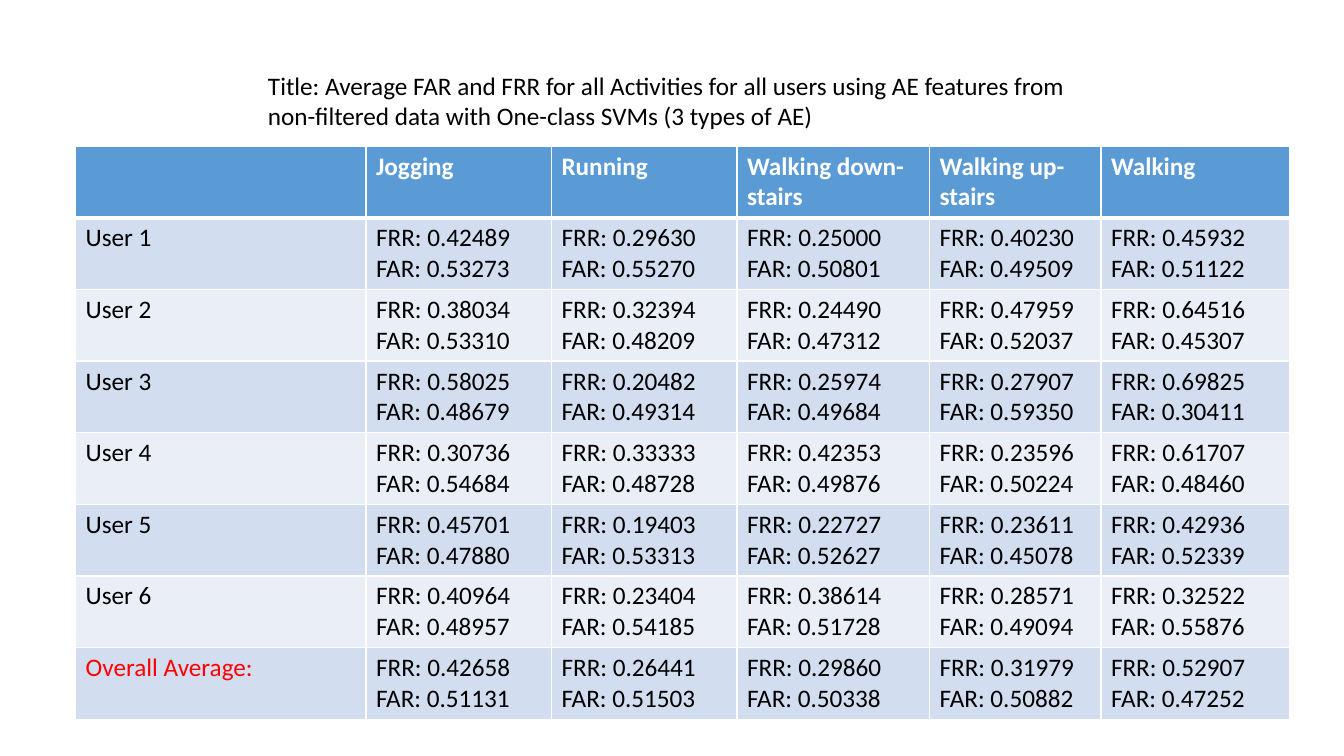
import dataclasses

import pptx
import pptx.dml.color
import pptx.oxml
import pptx.oxml.ns
import pptx.table
import pptx.text.text
import pptx.util

Inches = pptx.util.Inches
Color = pptx.dml.color.RGBColor.from_string


@dataclasses.dataclass(frozen=True)
class Theme:
    font: str = "Calibri"
    size: int = 18
    ink: str = "000000"
    paper: str = "FFFFFF"
    alert: str = "FF0000"
    header: str = "5B9BD5"
    bands: tuple[str, str] = ("D2DEEF", "EAEFF7")
    thin_rule: int = 1
    header_rule: int = 3


@dataclasses.dataclass(frozen=True)
class ResultRow:
    label: str
    frr: tuple[float, ...]
    far: tuple[float, ...]
    label_color: str


THEME = Theme()
TITLE = ("Title: Average FAR and FRR for all Activities for all users using AE "
         "features from non-filtered data with One-class SVMs (3 types of AE)")
HEADINGS = ("", "Jogging", "Running", "Walking down-stairs", "Walking up-stairs", "Walking")
COLUMN_WIDTHS = (2.88, 1.84, 1.84, 1.91, 1.7, 1.87)
ROW_HEIGHT = 0.7
RESULTS = (
    ResultRow("User 1", (0.42489, 0.29630, 0.25000, 0.40230, 0.45932),
              (0.53273, 0.55270, 0.50801, 0.49509, 0.51122), THEME.ink),
    ResultRow("User 2", (0.38034, 0.32394, 0.24490, 0.47959, 0.64516),
              (0.53310, 0.48209, 0.47312, 0.52037, 0.45307), THEME.ink),
    ResultRow("User 3", (0.58025, 0.20482, 0.25974, 0.27907, 0.69825),
              (0.48679, 0.49314, 0.49684, 0.59350, 0.30411), THEME.ink),
    ResultRow("User 4", (0.30736, 0.33333, 0.42353, 0.23596, 0.61707),
              (0.54684, 0.48728, 0.49876, 0.50224, 0.48460), THEME.ink),
    ResultRow("User 5", (0.45701, 0.19403, 0.22727, 0.23611, 0.42936),
              (0.47880, 0.53313, 0.52627, 0.45078, 0.52339), THEME.ink),
    ResultRow("User 6", (0.40964, 0.23404, 0.38614, 0.28571, 0.32522),
              (0.48957, 0.54185, 0.51728, 0.49094, 0.55876), THEME.ink),
    ResultRow("Overall Average:", (0.42658, 0.26441, 0.29860, 0.31979, 0.52907),
              (0.51131, 0.51503, 0.50338, 0.50882, 0.47252), THEME.alert),
)


def write_text(frame: pptx.text.text.TextFrame, text: str, color: str, bold: bool = False) -> None:
    frame.text = text
    for para in frame.paragraphs:
        para.font.name = THEME.font
        para.font.size = pptx.util.Pt(THEME.size)
        para.font.bold = bold
        para.font.color.rgb = Color(color)


def draw_borders(cell: pptx.table._Cell, top: int, bottom: int) -> None:
    properties = cell._tc.get_or_add_tcPr()
    sides = {"L": THEME.thin_rule, "R": THEME.thin_rule, "T": top, "B": bottom}
    for position, (side, points) in enumerate(sides.items()):
        properties.insert(position, pptx.oxml.parse_xml(
            f'<a:ln{side} {pptx.oxml.ns.nsdecls("a")} w="{pptx.util.Pt(points)}">'
            f'<a:solidFill><a:srgbClr val="{THEME.paper}"/></a:solidFill></a:ln{side}>'))


def fill_cell(cell: pptx.table._Cell, text: str, fill: str, color: str, row: int) -> None:
    is_header = row == 0
    write_text(cell.text_frame, text, color, bold=is_header)
    cell.fill.solid()
    cell.fill.fore_color.rgb = Color(fill)
    draw_borders(cell,
                 top=THEME.header_rule if row == 1 else THEME.thin_rule,
                 bottom=THEME.header_rule if is_header else THEME.thin_rule)


deck = pptx.Presentation()
deck.slide_width, deck.slide_height = Inches(13.33), Inches(7.5)
page = deck.slides.add_slide(deck.slide_layouts[6])

# Results table
row_count = len(RESULTS) + 1
table = page.shapes.add_table(
    row_count, len(HEADINGS), Inches(0.75), Inches(1.45),
    Inches(sum(COLUMN_WIDTHS)), Inches(ROW_HEIGHT * row_count)).table
for column, width in zip(table.columns, COLUMN_WIDTHS):
    column.width = Inches(width)

# Header row
for column_index, heading in enumerate(HEADINGS):
    fill_cell(table.cell(0, column_index), heading, THEME.header, THEME.paper, 0)

# User rows and overall average
for row_index, result in enumerate(RESULTS, start=1):
    band = THEME.bands[(row_index - 1) % 2]
    fill_cell(table.cell(row_index, 0), result.label, band, result.label_color, row_index)
    for column_index, (frr, far) in enumerate(zip(result.frr, result.far), start=1):
        fill_cell(table.cell(row_index, column_index),
                  f"FRR: {frr:.5f}\nFAR: {far:.5f}", band, THEME.ink, row_index)

# Title
title_box = page.shapes.add_textbox(Inches(2.56), Inches(0.65), Inches(8.13), Inches(0.71))
title_box.text_frame.word_wrap = True
write_text(title_box.text_frame, TITLE, THEME.ink)

deck.save("out.pptx")
